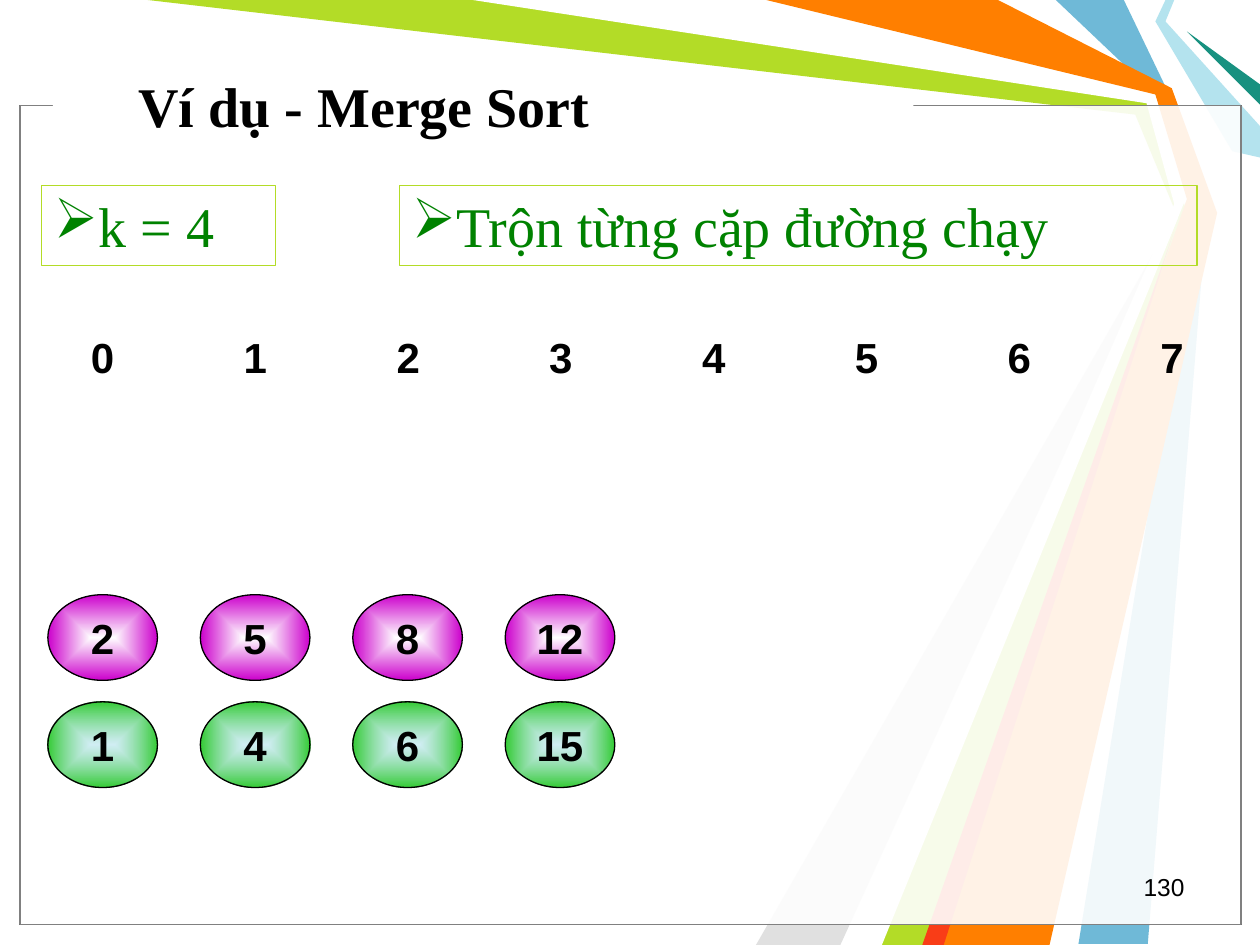
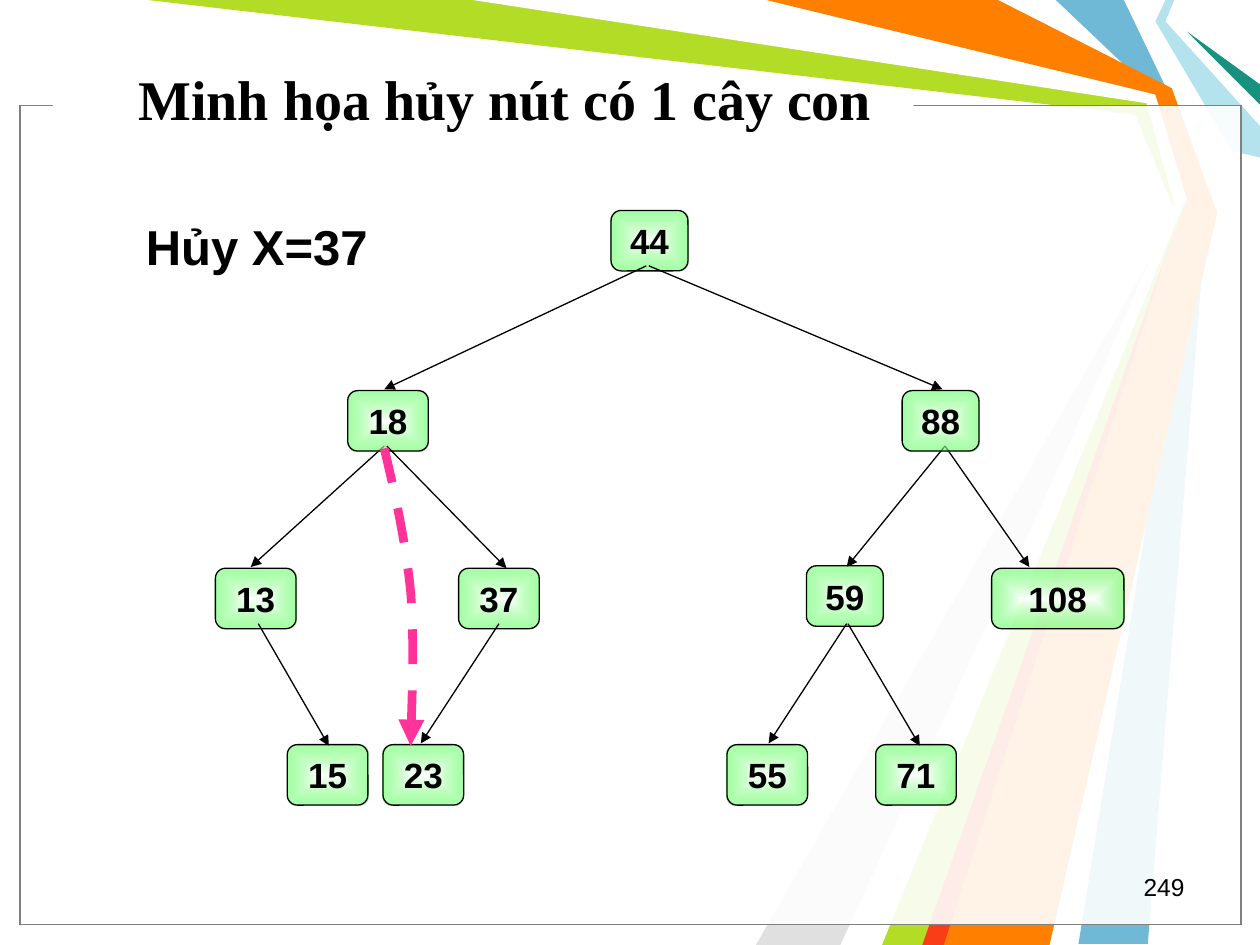
from lxml import etree
from pptx import Presentation
from pptx.dml.color import RGBColor
from pptx.enum.dml import MSO_LINE
from pptx.enum.shapes import MSO_CONNECTOR, MSO_SHAPE
from pptx.enum.text import MSO_ANCHOR, PP_ALIGN
from pptx.oxml.ns import qn
from pptx.util import Emu, Pt

PX = 9144
WIDTH, HEIGHT = 1000, 750

BLACK = RGBColor(0x00, 0x00, 0x00)
WHITE = RGBColor(0xFF, 0xFF, 0xFF)
GREY = RGBColor(0x80, 0x80, 0x80)
SILVER = RGBColor(0xE0, 0xE0, 0xE0)
BLUE = RGBColor(0x6F, 0xB9, 0xD7)
PALE_BLUE = RGBColor(0xB4, 0xE3, 0xEE)
TEAL = RGBColor(0x18, 0x91, 0x80)
LIME = RGBColor(0xB3, 0xDC, 0x27)
ORANGE = RGBColor(0xFF, 0x7F, 0x00)
RED = RGBColor(0xF9, 0x3D, 0x17)
PURPLE = RGBColor(0xCC, 0x00, 0xCC)
GREEN = RGBColor(0x33, 0xCC, 0x33)
NODE_GREEN = RGBColor(0x69, 0xFF, 0x69)
TEXT_GREEN = RGBColor(0x00, 0x82, 0x00)
PINK = RGBColor(0xFF, 0x33, 0x99)

SANS = "Arial"
SERIF = "Times New Roman"

PURPLE_GLOW = ((WHITE, 100), (PURPLE, 100))
GREEN_GLOW = ((PALE_BLUE, 60), (GREEN, 100))
NODE_GLOW = ((WHITE, 100), (NODE_GREEN, 60))

RIBBONS = [
    (BLUE, [(892, 0), (929, 77), (958, 167), (911, 749), (856, 749),
            (950, 167), (917, 75), (838, 0)]),
    (LIME, [(117, 0), (383, 0), (914, 78), (942, 169), (742, 750),
            (692, 750), (935, 173), (901, 91)]),
    (SILVER, [(667, 750), (927, 181), (600, 750)]),
    (WHITE, [(375, 0), (910, 82), (932, 162), (675, 750), (700, 750),
             (941, 158), (917, 75), (600, 0)]),
    (PALE_BLUE, [(925, 0), (917, 17), (978, 120), (1000, 125), (1000, 100),
                 (925, 17), (932, 0)]),
    (TEAL, [(1000, 83), (942, 25), (1000, 67)]),
    (ORANGE, [(608, 0), (792, 0), (930, 70), (966, 169), (833, 750),
              (733, 750), (942, 158), (917, 75)]),
    (RED, [(732, 750), (932, 183), (749, 750)]),
]

ROOT = [("44", 485, 167, 61)]
INNER_NODES = [
    ("18", 276, 310, 64), ("88", 716, 310, 61), ("13", 171, 451, 64),
    ("37", 364, 451, 64), ("59", 640, 449, 61), ("108", 787, 451, 105),
]
LEAVES = [("15", 228, 591, 64), ("23", 304, 591, 64),
          ("55", 577, 591, 64), ("71", 695, 591, 64)]
UPPER_EDGES = [
    ((513, 211), (305, 309)), ((515, 211), (748, 309)),
    ((305, 354), (199, 450)), ((750, 354), (672, 450)),
    ((750, 354), (817, 450)),
]
LOWER_EDGES = [
    ((307, 354), (402, 451)), ((396, 495), (334, 590)),
    ((673, 495), (730, 592)), ((672, 495), (610, 590)),
    ((205, 495), (261, 592)),
]
RELINK_CURVE = [
    ((305, 356), (314, 393), (322, 431), (326, 470)),
    ((326, 470), (329, 510), (327, 551), (326, 592)),
]


def px(length):
    return Emu(round(length * PX))


def set_text(shape, text, size, font=SANS, bold=True, color=BLACK,
             align=PP_ALIGN.CENTER, anchor=MSO_ANCHOR.MIDDLE, wrap=False,
             bullet=None):
    frame = shape.text_frame
    frame.word_wrap = wrap
    frame.vertical_anchor = anchor
    paragraph = frame.paragraphs[0]
    paragraph.text = text
    paragraph.alignment = align
    if bullet:
        properties = paragraph._p.get_or_add_pPr()
        etree.SubElement(properties, qn("a:buChar"), char=bullet)
    paragraph.font.name = font
    paragraph.font.size = Pt(size)
    paragraph.font.bold = bold
    paragraph.font.color.rgb = color


def add_text(slide, text, left, top, width, height, size, **style):
    box = slide.shapes.add_textbox(px(left), px(top), px(width), px(height))
    set_text(box, text, size, wrap=True, **style)


def add_preset(slide, kind, left, top, width, height, line=None):
    shape = slide.shapes.add_shape(kind, px(left), px(top), px(width), px(height))
    shape.shadow.inherit = False
    shape.fill.background()
    if line is None:
        shape.line.fill.background()
    else:
        shape.line.color.rgb = line
        shape.line.width = Pt(0.75)
    return shape


def set_alpha(color_element, percent):
    etree.SubElement(color_element, qn("a:alpha"), val=str(percent * 1000))


def fill_glow(shape, stops):
    gradient = etree.Element(qn("a:gradFill"), rotWithShape="1")
    stop_list = etree.SubElement(gradient, qn("a:gsLst"))
    for position, (color, opacity) in zip(("0", "100000"), stops):
        stop = etree.SubElement(stop_list, qn("a:gs"), pos=position)
        color_element = etree.SubElement(stop, qn("a:srgbClr"), val=str(color))
        if opacity < 100:
            set_alpha(color_element, opacity)
    path = etree.SubElement(gradient, qn("a:path"), path="shape")
    centre = dict.fromkeys(("l", "t", "r", "b"), "50000")
    etree.SubElement(path, qn("a:fillToRect"), centre)
    properties = shape.element.spPr
    properties.replace(properties.find(qn("a:noFill")), gradient)


def add_outline(slide, points, close):
    corners = [(px(x), px(y)) for x, y in points]
    builder = slide.shapes.build_freeform(*corners[0])
    builder.add_line_segments(corners[1:], close=close)
    shape = builder.convert_to_shape()
    shape.shadow.inherit = False
    return shape


def add_ribbon(slide, color, points):
    ribbon = add_outline(slide, points, True)
    ribbon.fill.solid()
    ribbon.fill.fore_color.rgb = color
    ribbon.line.fill.background()


def add_arrowhead(shape):
    line = shape.element.spPr.find(qn("a:ln"))
    etree.SubElement(line, qn("a:tailEnd"), type="triangle")


def add_edge(slide, start, end):
    ends = [px(value) for value in (*start, *end)]
    connector = slide.shapes.add_connector(MSO_CONNECTOR.STRAIGHT, *ends)
    connector.line.color.rgb = BLACK
    connector.line.width = Pt(0.75)
    add_arrowhead(connector)
    etree.SubElement(connector.element.spPr, qn("a:effectLst"))


def curve_points(curves, steps=12):
    points = [curves[0][0]]
    for curve in curves:
        for step in range(1, steps + 1):
            t = step / steps
            weights = ((1 - t) ** 3, 3 * t * (1 - t) ** 2,
                       3 * t ** 2 * (1 - t), t ** 3)
            points.append(tuple(sum(w * value for w, value in zip(weights, axis))
                                for axis in zip(*curve)))
    return points


def add_relink_arrow(slide):
    arrow = add_outline(slide, curve_points(RELINK_CURVE), False)
    arrow.fill.background()
    arrow.line.color.rgb = PINK
    arrow.line.width = Pt(5)
    arrow.line.dash_style = MSO_LINE.DASH
    add_arrowhead(arrow)


def add_ball(slide, text, left, top, glow):
    ball = add_preset(slide, MSO_SHAPE.OVAL, left, top, 87, 68, BLACK)
    fill_glow(ball, glow)
    set_text(ball, text, 24)


def add_note(slide, text, left, width):
    note = add_preset(slide, MSO_SHAPE.RECTANGLE, left, 147, width, 64, LIME)
    set_text(note, text, 32, font=SERIF, bold=False, color=TEXT_GREEN,
             align=PP_ALIGN.LEFT, wrap=True, bullet="➢")


def add_nodes(slide, nodes):
    for text, left, top, width in nodes:
        node = add_preset(slide, MSO_SHAPE.ROUNDED_RECTANGLE,
                          left, top, width, 48, BLACK)
        fill_glow(node, NODE_GLOW)
        set_text(node, text, 20)


def add_edges(slide, edges):
    for start, end in edges:
        add_edge(slide, start, end)


def add_base_slide(presentation, title, title_top, title_height, number):
    slide = presentation.slides.add_slide(presentation.slide_layouts[6])
    for color, points in RIBBONS:
        add_ribbon(slide, color, points)
    for line in (BLACK, GREY):
        panel = add_preset(slide, MSO_SHAPE.RECTANGLE, 16, 84, 969, 650, line)
        panel.fill.solid()
        panel.fill.fore_color.rgb = WHITE
        set_alpha(panel.element.spPr.find(qn("a:solidFill"))[0], 69)
    title_gap = add_preset(slide, MSO_SHAPE.RECTANGLE, 42, 74, 683, 17)
    title_gap.fill.solid()
    title_gap.fill.fore_color.rgb = WHITE
    add_text(slide, title, 100, title_top, 689, title_height, 32,
             font=SERIF, align=PP_ALIGN.LEFT)
    add_text(slide, number, 717, 687, 233, 33, 14, bold=False,
             align=PP_ALIGN.RIGHT, anchor=MSO_ANCHOR.TOP)
    return slide


def add_merge_sort_slide(presentation):
    slide = add_base_slide(presentation, "Ví dụ - Merge Sort", 42, 83, "130")
    runs = [(472, PURPLE_GLOW, (2, 5, 8, 12)), (557, GREEN_GLOW, (1, 4, 6, 15))]
    for top, glow, values in runs:
        for column, value in enumerate(values):
            add_ball(slide, str(value), 38 + 121 * column, top, glow)
    for index in range(8):
        label = add_preset(slide, MSO_SHAPE.OVAL, 38 + 121.25 * index, 250, 87, 66)
        set_text(label, str(index), 24)
    add_note(slide, "k = 4", 33, 186)
    add_note(slide, "Trộn từng cặp đường chạy", 317, 633)


def add_tree_slide(presentation):
    slide = add_base_slide(presentation, "Minh họa hủy nút có 1 cây con",
                           39, 78, "249")
    add_nodes(slide, ROOT)
    add_edges(slide, UPPER_EDGES)
    add_nodes(slide, INNER_NODES)
    add_edges(slide, LOWER_EDGES)
    add_nodes(slide, LEAVES)
    add_relink_arrow(slide)
    add_text(slide, "Hủy X=37", 106, 167, 236, 57, 28, align=PP_ALIGN.LEFT)


def main():
    presentation = Presentation()
    presentation.slide_width = px(WIDTH)
    presentation.slide_height = px(HEIGHT)
    add_merge_sort_slide(presentation)
    add_tree_slide(presentation)
    presentation.save("out.pptx")


if __name__ == "__main__":
    main()
